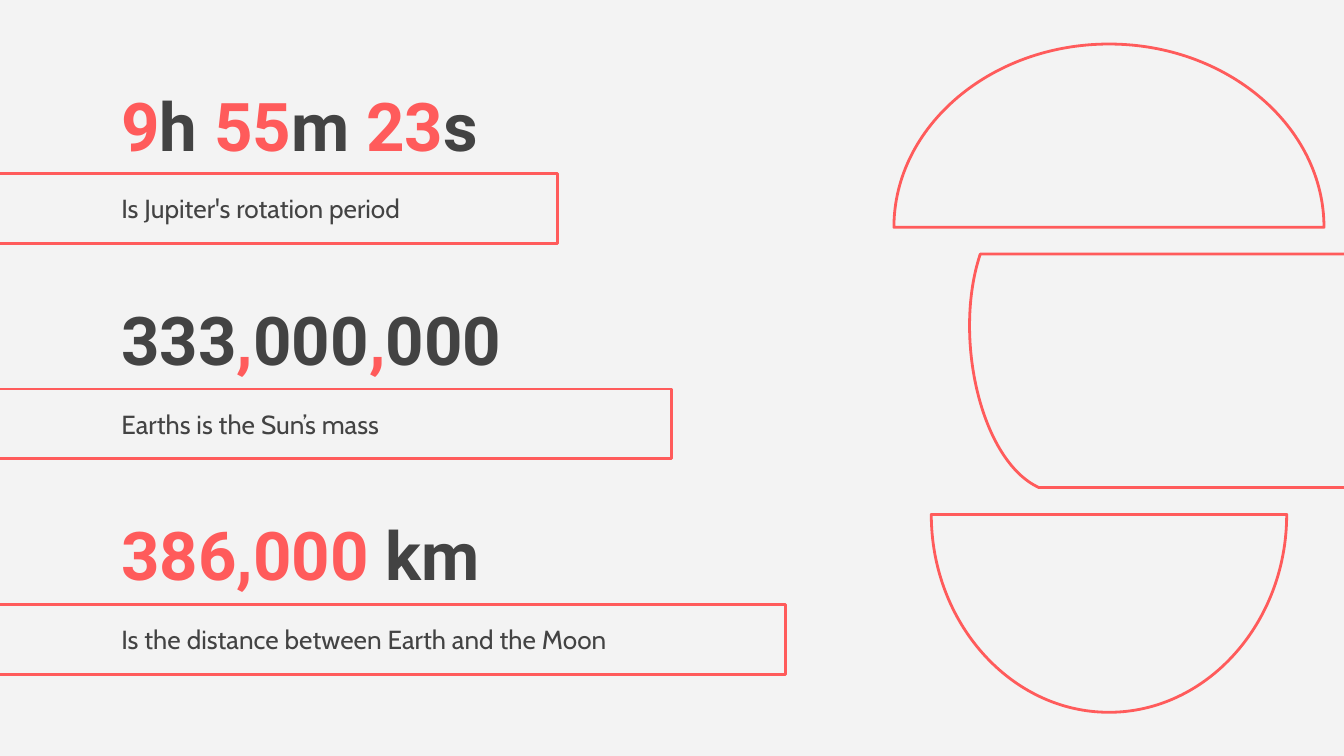
import copy

from lxml import etree
from pptx import Presentation
from pptx import util as u
from pptx.dml.color import RGBColor
from pptx.enum import shapes, text
from pptx.oxml import ns

CORAL = RGBColor(0xFF, 0x5B, 0x5B)
GREY = RGBColor(0x43, 0x43, 0x43)
PAPER = RGBColor(0xF3, 0xF3, 0xF3)

LEFT = 57.8  # left edge of all text boxes
KAPPA = 0.55  # handle length of a quarter ellipse

# Each row: headline runs, caption
ROWS = [
    ([("9", CORAL), ("h", GREY), (" 55", CORAL), ("m", GREY), (" 23", CORAL), ("s", GREY)],
     "Is Jupiter's rotation period"),
    ([("333", GREY), (",", CORAL), ("000", GREY), (",", CORAL), ("000", GREY)],
     "Earths is the Sun’s mass"),
    ([("386,000 ", CORAL), ("km", GREY)],
     "Is the distance between Earth and the Moon"),
]
FRAME = {"word_wrap": True, "auto_size": text.MSO_AUTO_SIZE.NONE,
         "vertical_anchor": text.MSO_ANCHOR.MIDDLE,
         "margin_left": u.Pt(7.2), "margin_right": u.Pt(7.2),
         "margin_top": u.Pt(7.2), "margin_bottom": u.Pt(7.2)}
PARAGRAPH = {"alignment": text.PP_ALIGN.LEFT, "space_before": u.Pt(0), "line_spacing": 1.0}
HEADLINE = {"name": "Roboto", "size": u.Pt(36), "bold": True}
CAPTION = {"name": "Cabin", "size": u.Pt(14), "bold": False}


def outline(sp):
    sp.shadow.inherit = False
    sp.fill.background()
    sp.line.color.rgb = CORAL
    sp.line.width = u.Pt(1.5)


prs = Presentation()
prs.slide_width, prs.slide_height = u.Pt(720), u.Pt(405)
s = prs.slides.add_slide(prs.slide_layouts[0])
s.background.fill.solid()
s.background.fill.fore_color.rgb = PAPER

# Planet pieces: a start, then segments of one point (line) or three (curve)
pieces = []
for cx, y, rx, ry in [(594.1, 121.8, 115.2, -98.2), (594.1, 275.6, 95.2, 106)]:
    pieces.append(((cx + rx, y), [
        [(cx - rx, y)],
        [(cx - rx, y + KAPPA * ry), (cx - KAPPA * rx, y + ry), (cx, y + ry)],
        [(cx + KAPPA * rx, y + ry), (cx + rx, y + KAPPA * ry), (cx + rx, y)]]))
pieces.append(((755.3, 136.1), [
    [(764.6, 156.2), (769, 226.8), (725.8, 261.2)],
    [(556.6, 261.2)],
    [(525.6, 247), (510.3, 180.7), (525.2, 136.1)]]))

for start, segments in pieces:
    builder = s.shapes.build_freeform(*map(u.Pt, start))
    builder.add_line_segments([(u.Pt(x), u.Pt(y)) for seg in segments for x, y in seg])
    sp = builder.convert_to_shape()
    outline(sp)
    # Merge each run of three line points into one Bézier segment
    lines = iter(sp.element.xpath(".//a:lnTo"))
    for seg in segments:
        parts = [next(lines) for _ in seg]
        if len(parts) == 3:
            curve = etree.Element(ns.qn("a:cubicBezTo"))
            parts[0].addprevious(curve)
            for part in parts:
                curve.append(part[0])
                part.getparent().remove(part)
    etree.SubElement(curve.getparent(), ns.qn("a:close"))

# Caption bars, each longer than the one above
for i in range(len(ROWS)):
    outline(s.shapes.add_shape(shapes.MSO_SHAPE.RECTANGLE, u.Pt(-5), u.Pt(92.9 + 115.5 * i),
                               u.Pt(303.8 + 61 * i), u.Pt(37.4)))

# Headlines and captions: one title and one subtitle placeholder per row
masters = list(s.placeholders)
for i, (headline, caption) in enumerate(ROWS):
    boxes = [(masters[0], headline, HEADLINE, 46.6 + 114.9 * i, 302.4, 40.3),
             (masters[1], [(caption, GREY)], CAPTION, 92.8 + 115.5 * i, 276.5, 37.4)]
    for master, runs, style, top, width, height in boxes:
        element = copy.deepcopy(master.element)
        element.nvSpPr.cNvPr.set("id", str(max(x.shape_id for x in s.shapes) + 1))
        s.shapes.element.append(element)
        sp = s.shapes[-1]
        sp.left, sp.top, sp.width, sp.height = map(u.Pt, (LEFT, top, width, height))
        tf = sp.text_frame
        p = tf.paragraphs[0]
        for target, values in [(tf, FRAME), (p, PARAGRAPH)]:
            for key, value in values.items():
                setattr(target, key, value)
        for words, colour in runs:
            r = p.add_run()
            r.text = words
            r.font.color.rgb = colour
            for key, value in style.items():
                setattr(r.font, key, value)

# The unfilled placeholders go
for master in masters:
    s.shapes.element.remove(master.element)

prs.save("out.pptx")
